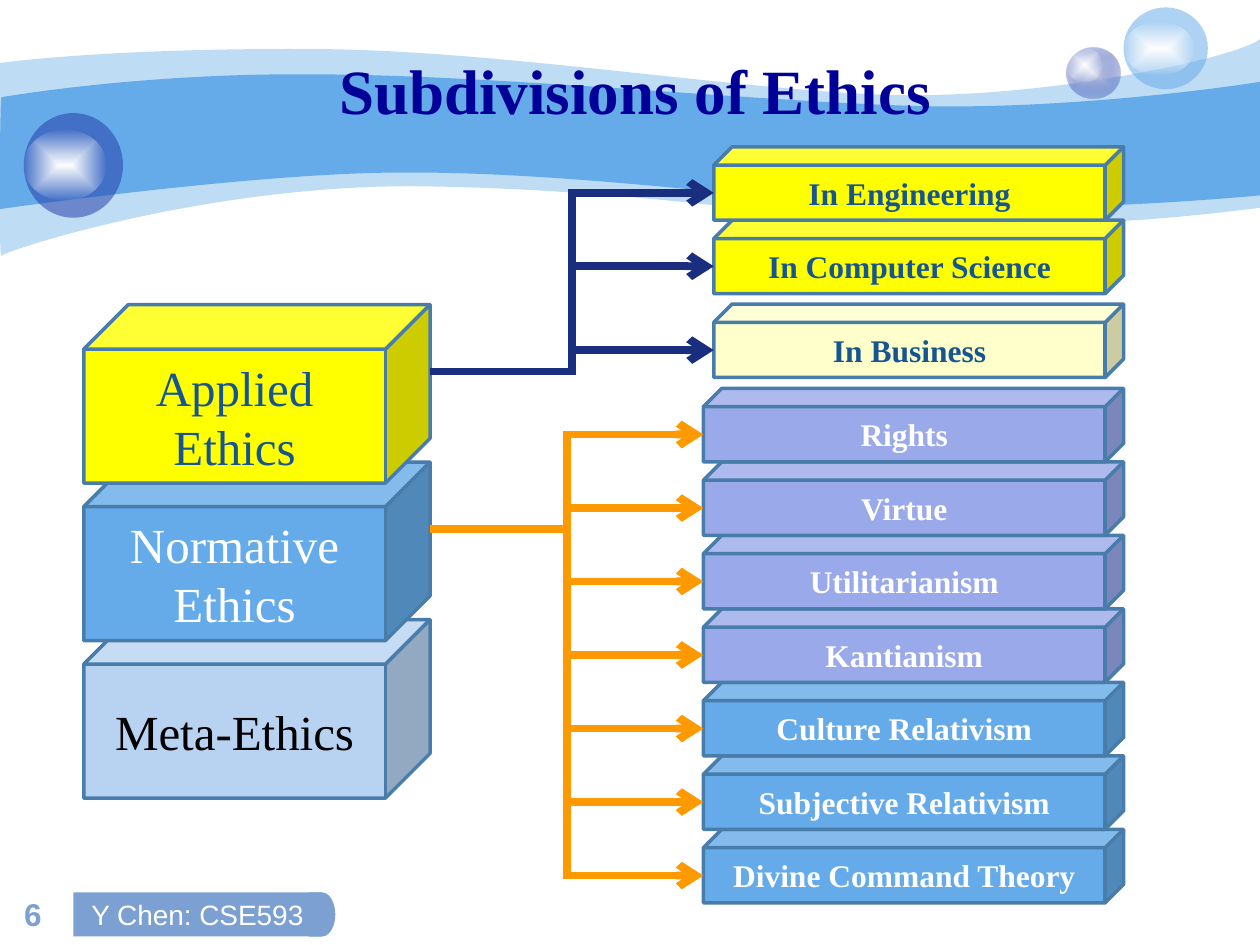
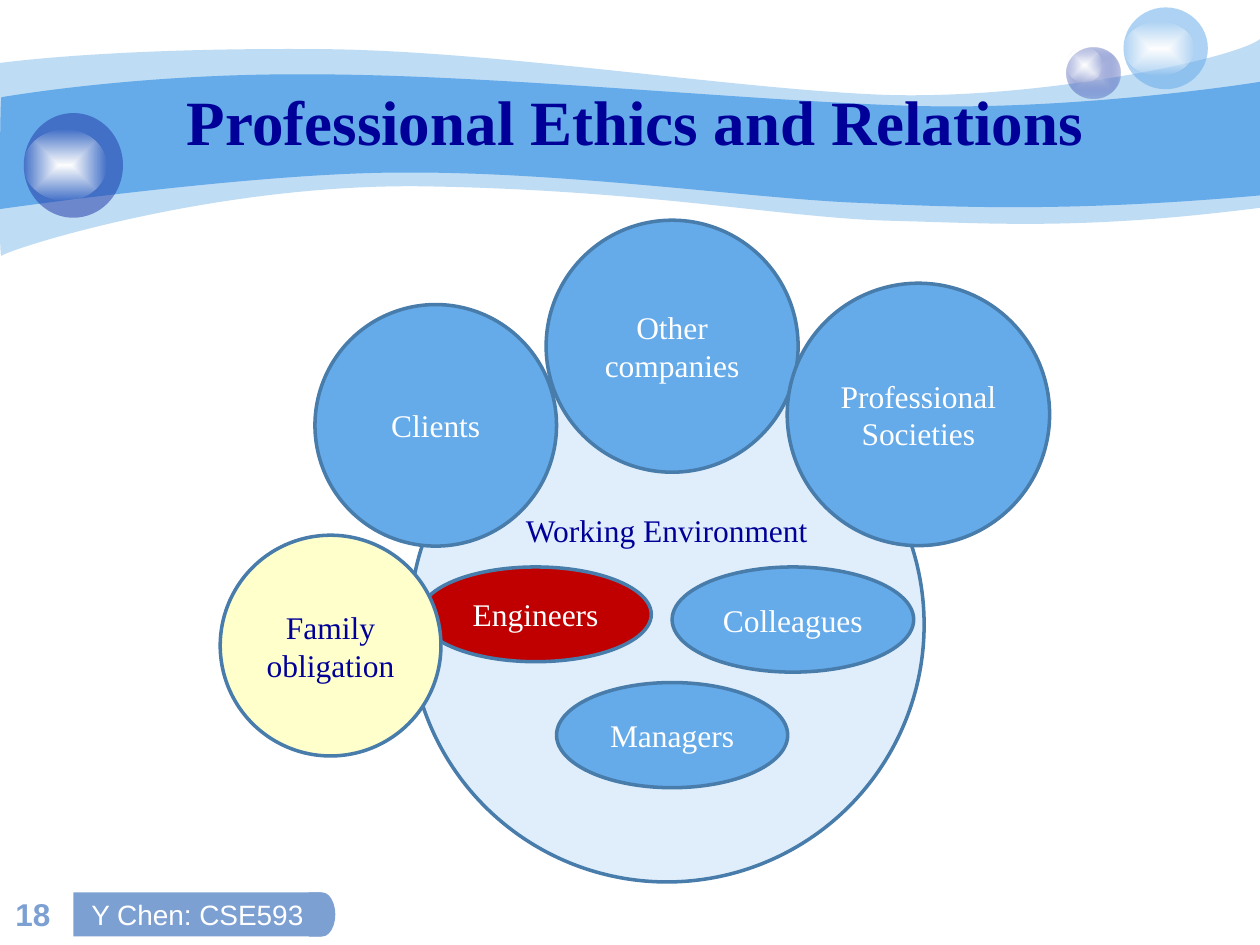
from lxml.etree import SubElement
from pptx import Presentation
from pptx.dml.color import RGBColor
from pptx.enum.shapes import MSO_CONNECTOR as Link, MSO_SHAPE as Form
from pptx.enum.text import MSO_ANCHOR as Anchor, MSO_AUTO_SIZE as Fit, PP_ALIGN as Align
from pptx.oxml import parse_xml
from pptx.oxml.ns import nsdecls, qn
from pptx.util import Cm, Pt

COLORS = {
    "sky": "65AAE9", "royal": "233DA9", "haze": "C7CEE9", "white": "FFFFFF",
    "black": "000000", "footer": "7DA0D3", "title": "000099", "edge": "487CAB",
    "cream": "FFFFCC", "yellow": "FFFF00", "teal": "155692", "ice": "B8D2F2",
    "lilac": "9AA9EA", "orange": "FF9900", "navy": "1A2E7F", "pale": "E0EEFB",
    "red": "C00000",
}
SERIF, SANS = "Times New Roman", "Arial"


def write(box, text, size=18, color="white", font=SERIF, bold=False, anchor=Anchor.MIDDLE, wrap=True):
    frame = box.text_frame
    frame.word_wrap = wrap
    frame.auto_size = Fit.NONE
    frame.vertical_anchor = anchor
    para = frame.paragraphs[0]
    para.alignment = Align.CENTER
    span = para.add_run()
    span.text = text
    span.font.name = font
    span.font.size = Pt(size)
    span.font.bold = bold
    span.font.color.rgb = RGBColor.from_string(COLORS[color])


def paint(shape, *stops, edge=None):
    tints = [f'<a:srgbClr val="{COLORS[color]}"><a:alpha val="{alpha * 1000}"/></a:srgbClr>'
             for color, alpha in stops]
    if len(tints) == 1:
        fill = f'<a:solidFill {nsdecls("a")}>{tints[0]}</a:solidFill>'
    else:
        fill = (f'<a:gradFill {nsdecls("a")} rotWithShape="1"><a:gsLst>'
                f'<a:gs pos="0">{tints[0]}</a:gs><a:gs pos="100000">{tints[1]}</a:gs></a:gsLst>'
                '<a:path path="rect"><a:fillToRect l="50000" t="50000" r="50000" b="50000"/></a:path>'
                '</a:gradFill>')
    shape.element.spPr.insert(2, parse_xml(fill))
    shape.shadow.inherit = False
    if edge:
        shape.line.color.rgb = RGBColor.from_string(COLORS[edge])
        shape.line.width = Pt(2)
    else:
        shape.line.fill.background()


deck = Presentation()
deck.slide_width, deck.slide_height = Cm(25.4), Cm(19.05)
layout = deck.slide_layouts.get_by_name("Title Only")

pages = []
for title, top, number in [("Subdivisions of Ethics", 0.43, "6"),
                           ("Professional Ethics and Relations", 1.06, "18")]:
    page = deck.slides.add_slide(layout)
    heading = page.shapes.title
    heading.left, heading.top, heading.width, heading.height = Cm(2.54), Cm(top), Cm(20.53), Cm(2.74)
    write(heading, title, size=36, color="title", bold=True)
    box = page.shapes.add_textbox(Cm(-0.15), Cm(17.57), Cm(1.63), Cm(1.37))
    write(box, number, color="footer", font=SANS, bold=True, anchor=Anchor.BOTTOM)
    pages.append(page)
ethics, relations = pages

decor = []
waves = [
    (41, (0, 1.27), [
        [(0.61, 1.19), (2.72, 0.97), (6.27, 0.99)],
        [(9.8, 0.99), (14.61, 1.78), (17.75, 1.91)],
        [(20.88, 2.03), (24.89, 1.19), (25.4, 0.79)],
        [(25.4, 4.19)],
        [(21.79, 4.65), (19.99, 4.5), (17.91, 4.45)],
        [(15.8, 4.39), (13.08, 3.84), (8.71, 3.76)],
        [(4.37, 3.66), (0.1, 5.05), (0.03, 5.16)],
        [(-0.03, 5.28), (0, 1.91), (0, 1.27)]]),
    (100, (0.03, 1.96), [
        [(0.05, 1.96), (2.79, 1.47), (6.3, 1.5)],
        [(9.8, 1.5), (15.11, 2.03), (18.24, 2.13)],
        [(21.36, 2.24), (24.79, 1.75), (25.4, 1.65)],
        [(25.4, 3.94)],
        [(21.67, 4.27), (19.43, 4.19), (17.32, 4.09)],
        [(15.21, 4.01), (11.35, 3.45), (8.05, 3.48)],
        [(5.16, 3.48), (-0.05, 4.22), (-0.03, 4.22)],
        [(0, 4.22), (0, 1.96), (0.03, 1.96)]]),
]
for alpha, start, segments in waves:
    builder = ethics.shapes.build_freeform(Cm(start[0]), Cm(start[1]))
    builder.add_line_segments([(Cm(x), Cm(y)) for segment in segments for x, y in segment], close=True)
    wave = builder.convert_to_shape()
    lines = wave.element.spPr.iter(qn("a:lnTo"))
    lines = iter(list(lines))
    for segment in segments:
        first = next(lines)
        if len(segment) == 3:
            first.tag = qn("a:cubicBezTo")
            for line in (next(lines), next(lines)):
                first.append(line[0])
                line.getparent().remove(line)
    paint(wave, ("sky", alpha))
    decor.append(wave)

sheen = [("white", 100), ("white", 0)]
for form, left, top, width, height, stops in [
    (Form.OVAL, 21.51, 0.97, 1.07, 1.02, [("haze", 100), ("royal", 31)]),
    (Form.OVAL, 21.51, 0.97, 0.71, 0.69, sheen),
    (Form.OVAL, 22.65, 0.15, 1.7, 1.65, [("sky", 53)]),
    (Form.OVAL, 22.65, 0.43, 1.42, 1.09, sheen),
    (Form.OVAL, 0.48, 2.28, 2, 2.11, [("royal", 53)]),
    (Form.OVAL, 0.48, 2.62, 1.67, 1.42, sheen),
    (Form.FLOWCHART_DELAY, 6.23, 17.99, 0.53, 0.89, [("footer", 100)]),
    (Form.RECTANGLE, 1.48, 17.99, 5, 0.89, [("footer", 100)]),
]:
    shape = ethics.shapes.add_shape(form, Cm(left), Cm(top), Cm(width), Cm(height))
    paint(shape, *stops)
    decor.append(shape)
write(decor[-1], "Y Chen: CSE593", size=16, font=SANS, wrap=False)

for number, shape in enumerate(decor, start=100):
    shape.element.nvSpPr.cNvPr.id = number
    layout.shapes.element.append(shape.element)

BLOCK_LEFT, BLOCK_TOP, BLOCK_WIDTH, BLOCK_HEIGHT, BLOCK_STEP = 1.69, 6.14, 6.98, 3.6, 6.35 / 2
SLAB_HEIGHT, SLAB_STEP, SLAB_RIGHT = 1.48, 8.89 / 6, 22.65
blocks = [("Applied Ethics", "yellow", "teal"),
          ("Normative Ethics", "sky", "white"),
          ("Meta-Ethics", "ice", "black")]
applied = [("In Engineering", "yellow", 2.96),
           ("In Computer Science", "yellow", 4.44),
           ("In Business", "cream", 6.13)]
theories = ["Rights", "Virtue", "Utilitarianism", "Kantianism",
            "Culture Relativism", "Subjective Relativism", "Divine Command Theory"]

cubes = [(text, fill, color, BLOCK_LEFT, BLOCK_TOP + BLOCK_STEP * row, BLOCK_WIDTH, BLOCK_HEIGHT, 28)
         for row, (text, fill, color) in enumerate(blocks)]
slabs = [(text, fill, "teal", 14.39, top, SLAB_RIGHT - 14.39, SLAB_HEIGHT, 18)
         for text, fill, top in applied]
slabs += [(text, "lilac" if row < 4 else "sky", "white", 14.18, 7.83 + SLAB_STEP * row,
           SLAB_RIGHT - 14.18, SLAB_HEIGHT, 18) for row, text in enumerate(theories)]

for text, fill, color, left, top, width, height, size in reversed(cubes + slabs):
    cube = ethics.shapes.add_shape(Form.CUBE, Cm(left), Cm(top), Cm(width), Cm(height))
    cube.adjustments[0] = 0.25
    paint(cube, (fill, 100), edge="edge")
    write(cube, text, size=size, color=color, bold=size == 18)

for row, (text, fill, color, left, top, *rest) in enumerate(slabs):
    source, tint = (0, "navy") if row < len(applied) else (1, "orange")
    arrow = ethics.shapes.add_connector(
        Link.ELBOW, Cm(BLOCK_LEFT + BLOCK_WIDTH), Cm(BLOCK_TOP + BLOCK_STEP * source + 1.35),
        Cm(left), Cm(top + 0.93))
    arrow.line.color.rgb = RGBColor.from_string(COLORS[tint])
    arrow.line.width = Pt(4.5)
    properties = arrow.element.spPr
    outline = properties.find(qn("a:ln"))
    SubElement(outline, qn("a:miter"), lim="800000")
    SubElement(outline, qn("a:tailEnd"), type="arrow")
    SubElement(properties, qn("a:effectLst"))

for text, fill, color, left, top, width, height in [
    ("Working Environment", "pale", "title", 8.26, 7.41, 10.37, 10.37),
    ("Engineers", "red", "white", 8.47, 11.43, 4.66, 1.91),
    ("Colleagues", "sky", "white", 13.55, 11.43, 4.87, 2.12),
    ("Managers", "sky", "white", 11.22, 13.76, 4.66, 2.12),
    ("Other companies", "sky", "white", 11.01, 4.44, 5.08, 5.08),
    ("Clients", "sky", "white", 6.35, 6.14, 4.87, 4.87),
    ("Professional Societies", "sky", "white", 15.87, 5.71, 5.29, 5.29),
    ("Family obligation", "cream", "title", 4.44, 10.79, 4.45, 4.45),
]:
    circle = relations.shapes.add_shape(Form.OVAL, Cm(left), Cm(top), Cm(width), Cm(height))
    paint(circle, (fill, 100), edge="edge")
    write(circle, text, color=color)
    if text == "Working Environment":
        circle.text_frame.margin_bottom = Cm(3.94)

deck.save("out.pptx")
